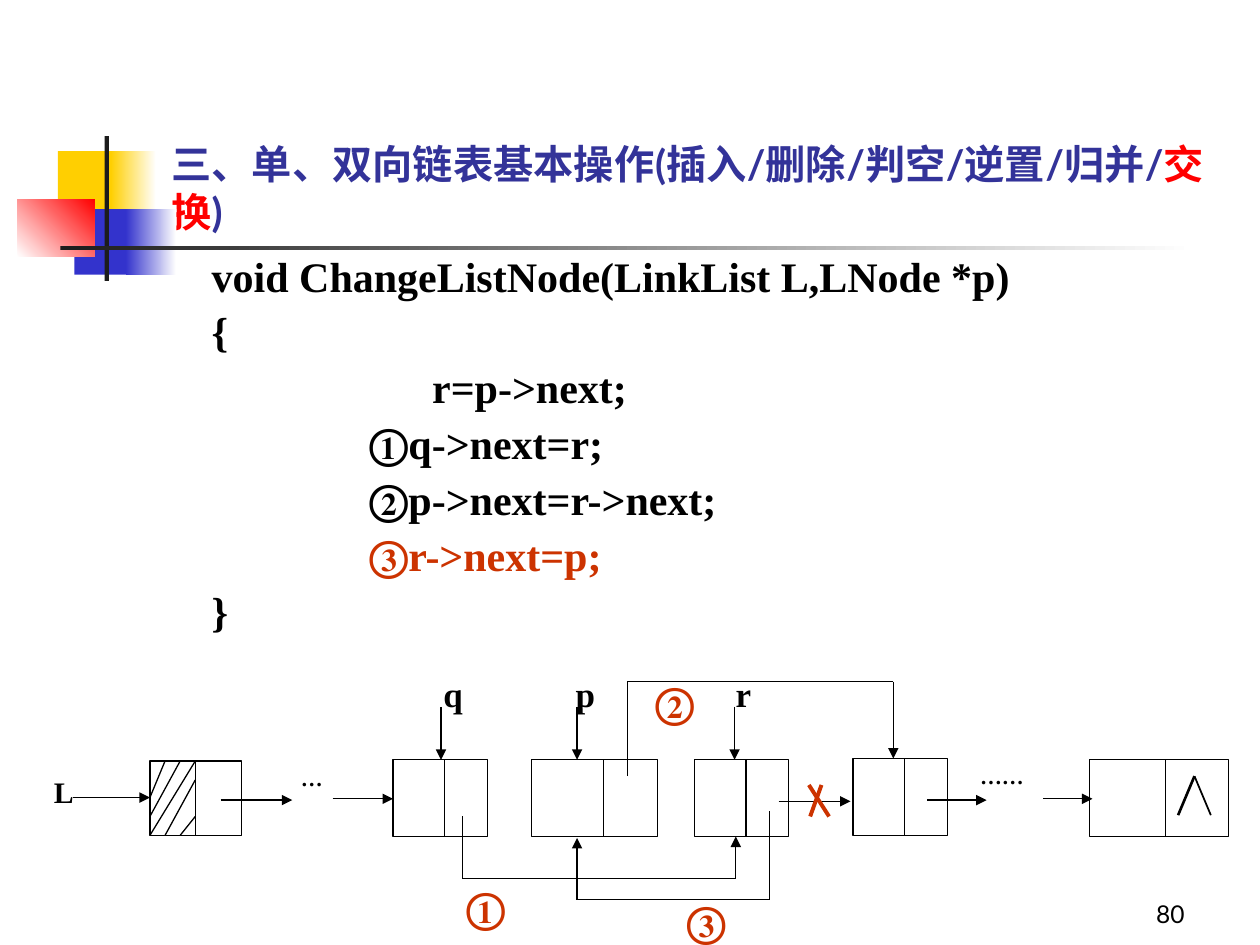
from lxml import etree
from pptx import Presentation
from pptx import util as u
from pptx.dml.color import RGBColor
from pptx.enum import shapes, text
from pptx.oxml.ns import qn

COLORS = {
    "black": "000000", "white": "FFFFFF", "yellow": "FFCF01",
    "blue": "3333CC", "red": "FF0000", "ink": "1C1C1C",
    "navy": "333399", "rust": "CC3300",
}
SERIF, SANS = "Times New Roman", "Lato"

prs = Presentation()
prs.slide_width, prs.slide_height = u.Inches(10), u.Inches(7.5)
col = prs.slide_width / 100
row = prs.slide_height / 75
s = prs.slides.add_slide(prs.slide_layouts[1])


def add_run(p, content, size=24, color="black", font=SERIF, bold=True):
    r = p.add_run()
    r.text = content
    r.font.size = u.Pt(size)
    r.font.name = font
    r.font.bold = bold
    r.font.color.rgb = RGBColor.from_string(COLORS[color])


def add_line(x1, y1, x2, y2, width=0.75, color="black", arrow=False):
    ln = s.shapes.add_connector(
        shapes.MSO_CONNECTOR.STRAIGHT,
        int(x1 * col), int(y1 * row), int(x2 * col), int(y2 * row))
    ln.line.width = u.Pt(width)
    ln.line.color.rgb = RGBColor.from_string(COLORS[color])
    if arrow:
        etree.SubElement(ln.line._get_or_add_ln(), qn("a:tailEnd"), type="triangle")
    etree.SubElement(ln._element.spPr, qn("a:effectLst"))


decor = [
    (4.6, 12, 4.8, 5.2, "yellow", None, 0),
    (8.8, 12, 3.6, 5.2, "yellow", "white", 0),
    (5.9, 16.6, 4.6, 5.2, "blue", None, 0),
    (10, 16.6, 4, 5.2, "blue", "white", 0),
    (1.4, 15.8, 6.1, 4.6, "white", "red", 45),
    (8.3, 10.8, 0.35, 11.5, "ink", None, 0),
    (4.8, 19.5, 90, 0.35, "ink", "white", 0),
]
nodes = [
    (11.9, 60.4, 7.3, 5.9, 15.5),
    (31.2, 60.3, 7.5, 6.1, 35.3),
    (42.2, 60.3, 10, 6.1, 47.9),
    (55.1, 60.3, 7.5, 6.1, 59.2),
    (67.7, 60.2, 7.5, 6.1, 71.8),
    (86.5, 60.3, 11, 6.1, 92.5),
]
boxes = decor + [(x, y, w, h, "white", None, None) for x, y, w, h, _ in nodes]
for x, y, w, h, start, end, angle in boxes:
    sp = s.shapes.add_shape(
        shapes.MSO_SHAPE.RECTANGLE,
        int(x * col), int(y * row), int(w * col), int(h * row))
    sp.shadow.inherit = False
    if end:
        sp.fill.gradient()
        sp.fill.gradient_angle = angle
        for stop, name, pos in zip(sp.fill.gradient_stops, (start, end), (0, 1)):
            stop.color.rgb = RGBColor.from_string(COLORS[name])
            stop.position = pos
    else:
        sp.fill.solid()
        sp.fill.fore_color.rgb = RGBColor.from_string(COLORS[start])
    if angle is None:
        sp.line.width = u.Pt(0.75)
        sp.line.color.rgb = RGBColor.from_string(COLORS["black"])
    else:
        sp.line.fill.background()

for x, y, w, h, divider in nodes:
    add_line(divider, y, divider, y + h)

for x1, x2, y in [(5.8, 11.9, 63.3), (17.5, 23.2, 63.5), (26.4, 31.2, 63.4),
                  (61.8, 67.5, 63.6), (73.6, 78.3, 63.5), (82.8, 86.7, 63.4)]:
    add_line(x1, y, x2, y, arrow=True)

for x in (35, 45.8, 58.3):
    add_line(x, 56.1, x, 60.3, arrow=True)

for x1, y1, x2, y2 in [(13.1, 60.4, 11.9, 63.3), (14.3, 60.4, 11.9, 64.8),
                       (15.5, 60.4, 11.9, 66.3), (15.5, 61.9, 13.1, 66.3),
                       (15.5, 64.8, 14.3, 66.3)]:
    add_line(x1, y1, x2, y2)

add_line(93.5, 64.7, 94.8, 61.6, width=1.5)
add_line(94.8, 61.6, 96.1, 64.7, width=1)
add_line(65.2, 62.3, 64.3, 64.8, width=2.25, color="rust")
add_line(64.2, 62.3, 65.8, 64.8, width=2.25, color="rust")

for x1, y1, x2, y2, level, width in [(36.7, 64.8, 58.4, 66.4, 69.7, 0.25),
                                     (49.8, 61.6, 70.9, 60.2, 54.1, 0.25),
                                     (61.1, 64.4, 45.8, 66.5, 71.4, 0.75)]:
    add_line(x1, y1, x1, level, width=width)
    add_line(x1, level, x2, level)
    add_line(x2, level, x2, y2, arrow=True)

labels = [
    ("L", 3.3, 61.2, 4.2, 4.2, 17, "black", 0.9),
    ("…", 22.9, 60.6, 4.8, 3.3, 12.5, "black", 0.8),
    ("……", 76.8, 60.4, 8.2, 3.3, 12.5, "black", 0.8),
    ("q", 34.2, 52.9, 4, 4.4, 20, "black", 1),
    ("p", 44.7, 52.9, 4, 4.4, 20, "black", 1),
    ("r", 57.4, 52.9, 4, 4.4, 20, "black", 1),
    ("①", 36, 69.5, 5.1, 5, 24, "rust", 1),
    ("②", 51, 53.2, 5.1, 5, 24, "rust", 1),
    ("③", 53.5, 70.6, 5.1, 5, 24, "rust", 1),
]
for content, x, y, w, h, size, color, spacing in labels:
    tf = s.shapes.add_textbox(
        int(x * col), int(y * row), int(w * col), int(h * row)).text_frame
    tf.word_wrap = True
    p = tf.paragraphs[0]
    p.line_spacing = spacing
    add_run(p, content, size=size, color=color)

body = s.placeholders[1]
body.left, body.top = int(15.8 * col), int(19.8 * row)
body.width, body.height = int(69.3 * col), int(34.3 * row)
tf = body.text_frame
tf.auto_size = text.MSO_AUTO_SIZE.NONE
tf.vertical_anchor = text.MSO_ANCHOR.TOP
code = [
    ("void ChangeListNode(LinkList L,LNode *p)", 0, "black"),
    ("{", 0, "black"),
    ("r=p->next;", 17.5, "black"),
    ("①q->next=r;", 12.5, "black"),
    ("②p->next=r->next;", 12.5, "black"),
    ("③r->next=p;", 12.5, "rust"),
    ("}", 0, "black"),
]
for i, (content, indent, color) in enumerate(code):
    p = tf.add_paragraph() if i else tf.paragraphs[0]
    pPr = p._p.get_or_add_pPr()
    pPr.set("marL", str(int(indent * col)))
    pPr.set("indent", "0")
    etree.SubElement(pPr, qn("a:buNone"))
    p.line_spacing = 0.9
    p.space_before = u.Pt(6 if i else 0)
    add_run(p, content, color=color)

title = s.shapes.title
title.left, title.top = int(12.6 * col), int(6.7 * row)
title.width, title.height = int(85.2 * col), int(12.5 * row)
tf = title.text_frame
tf.auto_size = text.MSO_AUTO_SIZE.NONE
tf.vertical_anchor = text.MSO_ANCHOR.BOTTOM
p = tf.paragraphs[0]
p.alignment = text.PP_ALIGN.LEFT
for content, color in [("三、单、双向链表基本操作(插入/删除/判空/逆置/归并/", "navy"),
                       ("交换", "red"), (")", "navy")]:
    add_run(p, content, size=23, color=color, font=SANS)

tf = s.shapes.add_textbox(
    int(74.2 * col), int(69.2 * row), int(20.8 * col), int(5 * row)).text_frame
tf.word_wrap = True
tf.vertical_anchor = text.MSO_ANCHOR.BOTTOM
p = tf.paragraphs[0]
p.alignment = text.PP_ALIGN.RIGHT
add_run(p, "80", size=14, font=SANS, bold=False)

prs.save("out.pptx")
